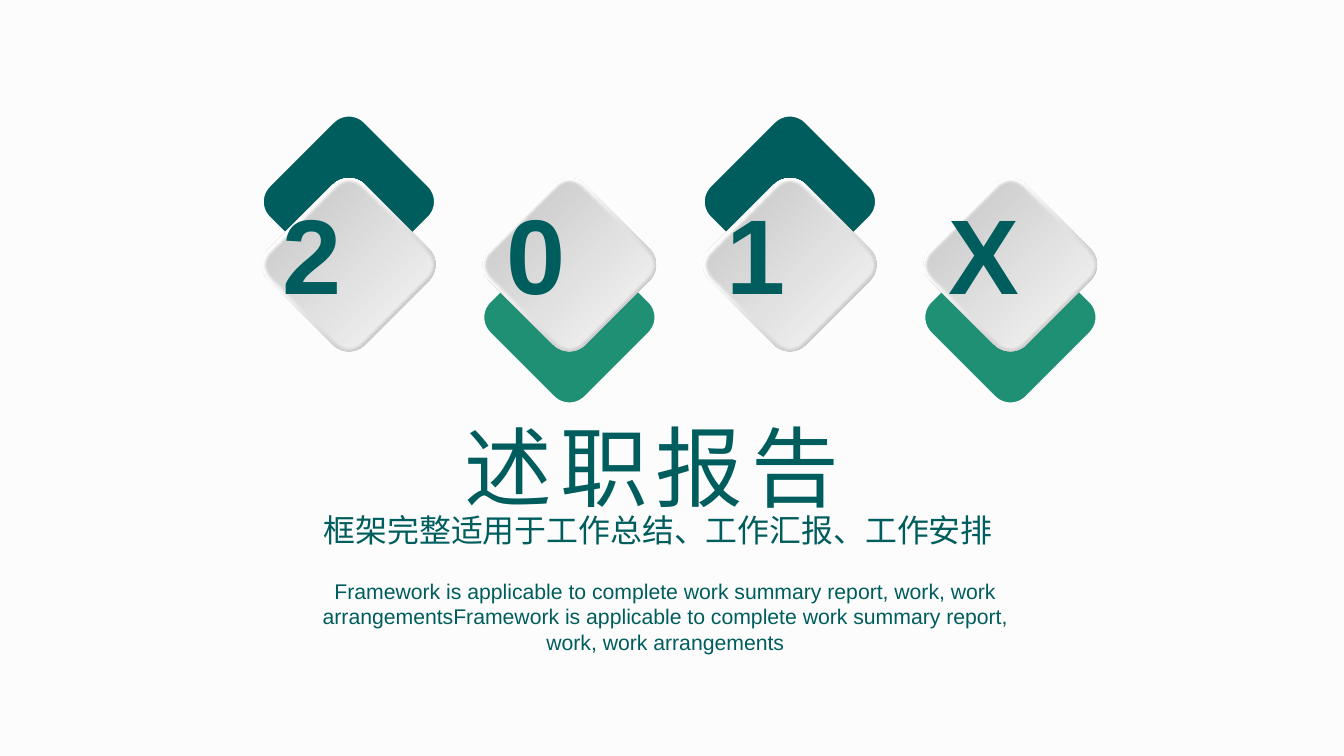
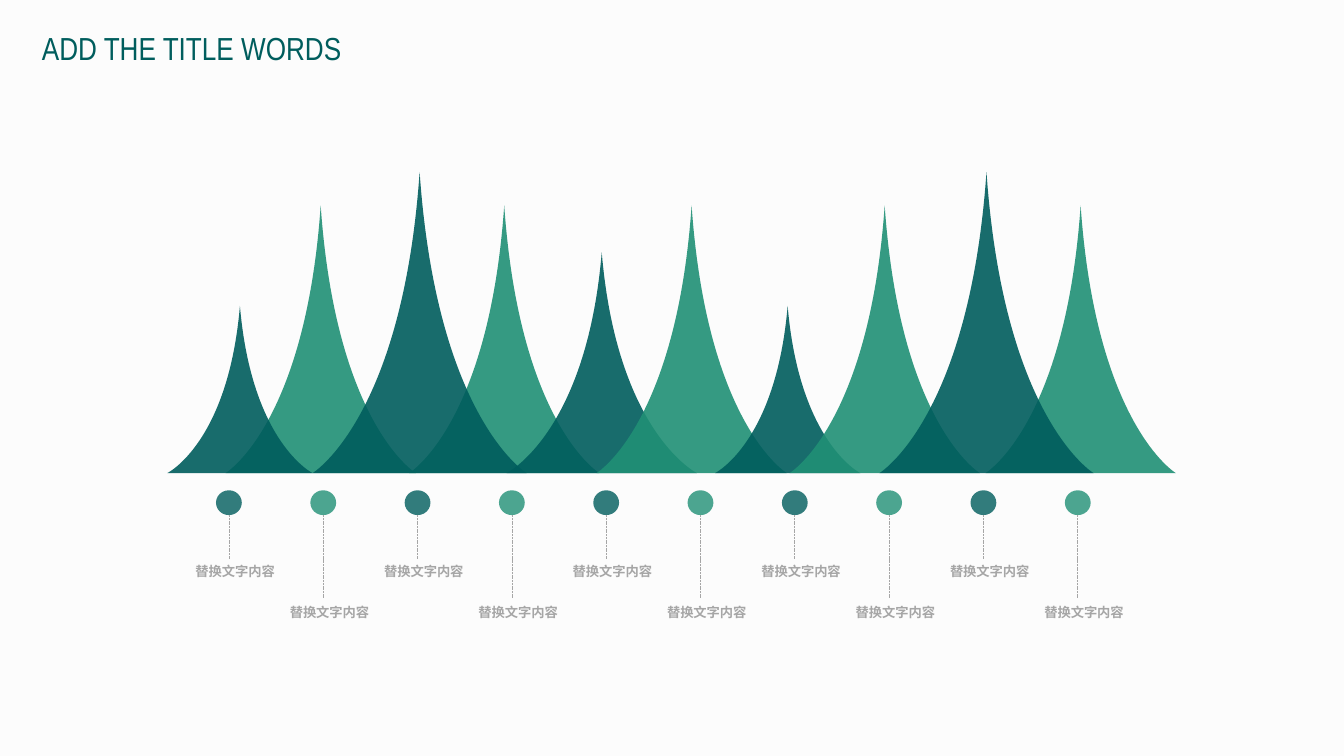
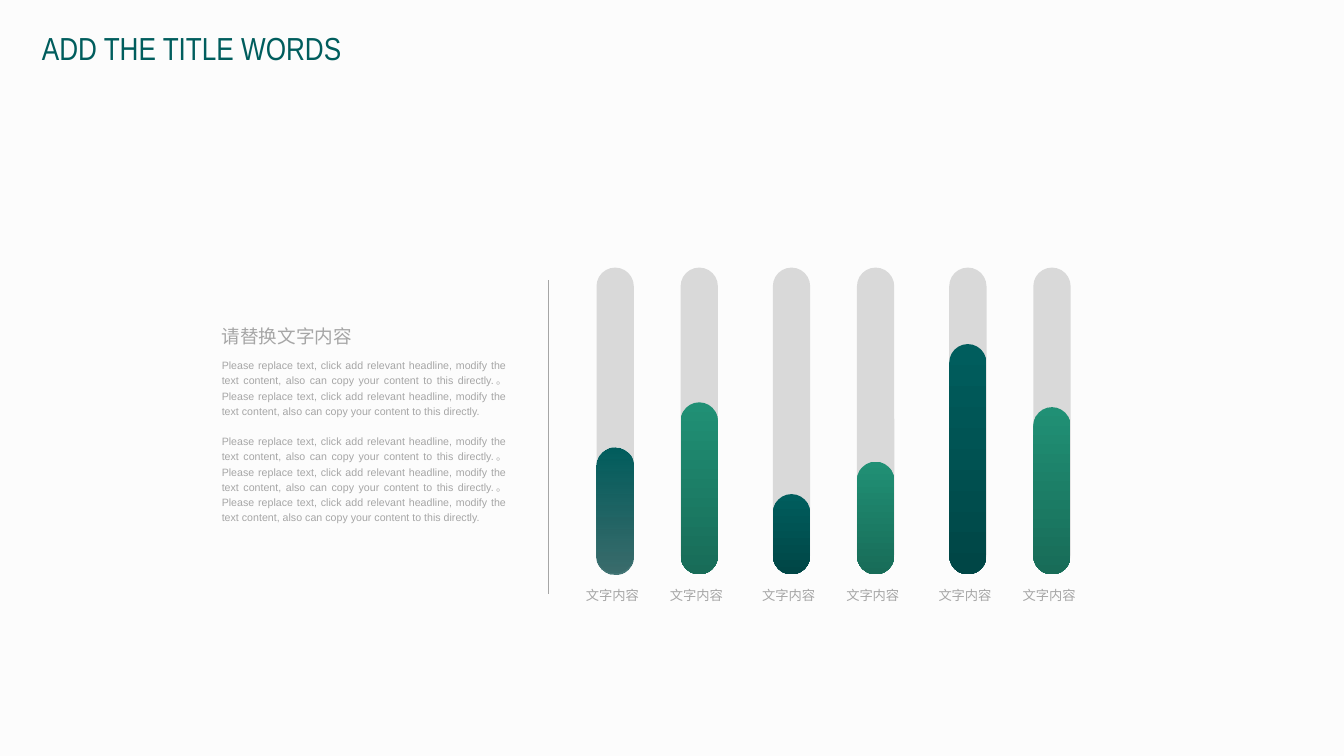
from dataclasses import dataclass
from typing import NamedTuple, Sequence

from pptx import Presentation
from pptx.dml.color import RGBColor
from pptx.enum.dml import MSO_LINE
from pptx.enum.shapes import MSO_CONNECTOR, MSO_SHAPE
from pptx.enum.text import MSO_ANCHOR, MSO_AUTO_SIZE, PP_ALIGN
from pptx.oxml import parse_xml
from pptx.oxml.ns import nsdecls, qn
from pptx.oxml.xmlchemy import OxmlElement
from pptx.shapes.autoshape import Shape
from pptx.slide import Slide
from pptx.util import Inches, Pt

COLORS = {
    "paper": "FCFCFC",
    "teal": "005D5D",
    "teal_deep": "004646",
    "green": "209075",
    "green_deep": "186C58",
    "grey": "A6A6A6",
    "track": "D9D9D9",
    "silver": "BFBFBF",
    "white": "FFFFFF",
}
CJK_FONT = "Noto Sans CJK SC"
LINEAR_DOWN = '<a:lin ang="5400000" scaled="0"/>'
FROM_CORNER = '<a:path path="circle"><a:fillToRect r="100000" b="100000"/></a:path>'


class Box(NamedTuple):
    left: float
    top: float
    width: float
    height: float


class Stop(NamedTuple):
    position: int
    color: str
    opacity: int = 100


@dataclass(frozen=True)
class Style:
    size: float
    color: str
    font: str = "Arial"
    bold: bool = False
    align: PP_ALIGN = PP_ALIGN.CENTER
    line_spacing: float | None = None
    before: float = 0
    after: float = 0
    tracking: float = 0
    inset: bool = False
    wrap: bool = True


@dataclass(frozen=True)
class Tile:
    character: str
    text_left: float
    color: str
    backing_top: float


@dataclass(frozen=True)
class Spire:
    left: float
    width: float
    height: float
    color: str


@dataclass(frozen=True)
class Bar:
    height: float
    color: str
    end_opacity: int = 100


HEADING = Style(24, "teal", "Arial Narrow", align=PP_ALIGN.LEFT, line_spacing=1.5, inset=True)
COVER_TITLE = Style(66, "teal", CJK_FONT, before=13.2, tracking=6, inset=True)
COVER_SUBTITLE = Style(24, "teal", before=4.8, inset=True)
COVER_ENGLISH = Style(16, "teal", before=3.2, inset=True)
YEAR = Style(80, "teal", bold=True)
MARKER_LABEL = Style(10, "grey", bold=True, line_spacing=1.2, wrap=False)
BAR_LABEL = Style(10, "grey", line_spacing=1.2)
NOTE_TITLE = Style(14, "grey", align=PP_ALIGN.JUSTIFY, line_spacing=1.2)
NOTE_BODY = Style(8, "grey", align=PP_ALIGN.JUSTIFY, line_spacing=1.2, after=11.4)

TILE_SIZE = 1.42
TILE_TOP = 2.06
FIRST_TILE, LAST_TILE = 2.94, 9.86
TILES = (
    Tile("2", 2.82, "teal", 1.4),
    Tile("0", 5.16, "green", 2.61),
    Tile("1", 7.46, "teal", 1.4),
    Tile("X", 9.78, "green", 2.61),
)

SPIRE_BASE = 4.95
SPIRES = (
    Spire(2.36, 1.99, 2.8, "green"),
    Spire(4.28, 1.99, 2.8, "green"),
    Spire(1.75, 1.52, 1.75, "teal"),
    Spire(3.27, 2.24, 3.15, "teal"),
    Spire(5.3, 1.99, 2.31, "teal"),
    Spire(6.24, 1.99, 2.8, "green"),
    Spire(7.48, 1.52, 1.75, "teal"),
    Spire(8.26, 1.99, 2.8, "green"),
    Spire(10.31, 1.99, 2.8, "green"),
    Spire(9.2, 2.24, 3.15, "teal"),
)
MARKER_COUNT = 10
FIRST_DOT, LAST_DOT = 2.26, 11.14
DOT_WIDTH, DOT_HEIGHT = 0.27, 0.26

TRACK = Box(6.24, 2.8, 0.39, 3.2)
BAR_BOTTOM = 6.01
BAR_GAP, LAST_PAIR = 0.88, 9.93
BARS = (
    Bar(1.33, "teal", 73),
    Bar(1.8, "green"),
    Bar(0.84, "teal"),
    Bar(1.18, "green"),
    Bar(2.41, "teal"),
    Bar(1.75, "green"),
)

REQUEST = (
    "Please replace text, click add relevant headline, modify the text content, "
    "also can copy your content to this directly."
)
ENGLISH = "Framework is applicable to complete work summary report, work, work arrangements"


def rgb(color: str) -> RGBColor:
    return RGBColor.from_string(COLORS[color])


def add_text(slide: Slide, box: Box, style: Style, *paragraphs: str) -> Shape:
    text_box = slide.shapes.add_textbox(*map(Inches, box))
    frame = text_box.text_frame
    frame.word_wrap = style.wrap
    frame.auto_size = MSO_AUTO_SIZE.SHAPE_TO_FIT_TEXT
    if not style.inset:
        frame.margin_left = frame.margin_right = 0
        frame.margin_top = frame.margin_bottom = 0
    frame.text = "\n".join(paragraphs)
    for paragraph in frame.paragraphs:
        paragraph.alignment = style.align
        paragraph.line_spacing = style.line_spacing
        paragraph.space_before = Pt(style.before)
        paragraph.space_after = Pt(style.after)
        font = paragraph.font
        font.size = Pt(style.size)
        font.bold = style.bold
        font.color.rgb = rgb(style.color)
        font.name = style.font
        properties = paragraph._p.get_or_add_pPr().get_or_add_defRPr()
        if style.tracking:
            properties.set("spc", str(round(style.tracking * 100)))
        east_asian = OxmlElement("a:ea")
        east_asian.set("typeface", CJK_FONT)
        properties.append(east_asian)
    return text_box


def add_alpha(color_element, opacity: int) -> None:
    if opacity < 100:
        alpha = OxmlElement("a:alpha")
        alpha.set("val", str(opacity * 1000))
        color_element.append(alpha)


def paint(shape: Shape, color: str, opacity: int = 100) -> None:
    """Give a shape a flat fill without outline or shadow."""
    shape.shadow.inherit = False
    shape.line.fill.background()
    shape.fill.solid()
    shape.fill.fore_color.rgb = rgb(color)
    add_alpha(shape._element.spPr.find(qn("a:solidFill"))[0], opacity)


def shade(shape: Shape, stops: Sequence[Stop], direction: str) -> None:
    """Replace the flat fill of a shape with a gradient."""
    paint(shape, stops[0].color)
    stop_xml = "".join(
        f'<a:gs pos="{stop.position * 1000}"><a:srgbClr val="{COLORS[stop.color]}"/></a:gs>'
        for stop in stops
    )
    gradient = parse_xml(
        f'<a:gradFill {nsdecls("a")} rotWithShape="1">'
        f"<a:gsLst>{stop_xml}</a:gsLst>{direction}</a:gradFill>"
    )
    for stop, color_element in zip(stops, gradient.iter(qn("a:srgbClr"))):
        add_alpha(color_element, stop.opacity)
    properties = shape._element.spPr
    properties.replace(properties.find(qn("a:solidFill")), gradient)


def add_line(slide: Slide, x: float, top: float, bottom: float, dashed: bool = False) -> None:
    line = slide.shapes.add_connector(
        MSO_CONNECTOR.STRAIGHT, Inches(x), Inches(top), Inches(x), Inches(bottom)
    )
    line.line.color.rgb = rgb("grey")
    line.line.width = Pt(0.5)
    if dashed:
        line.line.dash_style = MSO_LINE.SQUARE_DOT
    line._element.spPr.append(OxmlElement("a:effectLst"))


def add_heading(slide: Slide) -> None:
    add_text(slide, Box(0.34, 0.05, 3.54, 0.63), HEADING, "ADD THE TITLE WORDS")


def add_diamond(slide: Slide, left: float, top: float) -> Shape:
    diamond = slide.shapes.add_shape(
        MSO_SHAPE.ROUNDED_RECTANGLE, *map(Inches, Box(left, top, TILE_SIZE, TILE_SIZE))
    )
    diamond.rotation = 45
    return diamond


def add_tile(slide: Slide, tile: Tile, left: float) -> None:
    backing = add_diamond(slide, left, tile.backing_top)
    paint(backing, tile.color)
    backing.line.color.rgb = rgb("paper")
    backing.line.width = Pt(2.25)
    rim = add_diamond(slide, left, TILE_TOP)
    shade(rim, (Stop(29, "white"), Stop(86, "silver")), FROM_CORNER)
    face = add_diamond(slide, left, TILE_TOP)
    shade(face, (Stop(0, "silver"), Stop(100, "white")), FROM_CORNER)
    soft_edge = OxmlElement("a:softEdge")
    soft_edge.set("rad", str(Pt(2)))
    face._element.spPr.find(qn("a:effectLst")).append(soft_edge)

    character = add_text(slide, Box(tile.text_left, 1.96, 1.64, 1.36), YEAR, tile.character)
    character.rotation = 270
    character.text_frame.vertical_anchor = MSO_ANCHOR.MIDDLE
    character.text_frame._txBody.bodyPr.set("vert", "eaVert")


def build_cover(slide: Slide) -> None:
    add_text(slide, Box(2.7, 4.27, 8.24, 1.21), COVER_TITLE, "述职报告")
    add_text(
        slide, Box(2.91, 5.29, 7.95, 0.5), COVER_SUBTITLE,
        "框架完整适用于工作总结、工作汇报、工作安排",
    )
    add_text(slide, Box(3.14, 6, 7.64, 0.91), COVER_ENGLISH, ENGLISH * 2)
    pitch = (LAST_TILE - FIRST_TILE) / (len(TILES) - 1)
    for index, tile in enumerate(TILES):
        add_tile(slide, tile, FIRST_TILE + index * pitch)


def curve_to(segment, *points: tuple[float, float]) -> None:
    """Turn a straight path segment into a cubic curve through the given points."""
    curve = OxmlElement("a:cubicBezTo")
    for x, y in points:
        point = OxmlElement("a:pt")
        point.set("x", str(Inches(x)))
        point.set("y", str(Inches(y)))
        curve.append(point)
    segment.getparent().replace(segment, curve)


def add_spire(slide: Slide, spire: Spire) -> None:
    width, height = spire.width, spire.height
    middle, shoulder = width / 2, height * 0.82
    right = spire.left + width
    corners = (
        (right, SPIRE_BASE),
        (spire.left + middle, SPIRE_BASE - height),
        (spire.left, SPIRE_BASE),
        (right, SPIRE_BASE),
    )
    points = [(Inches(x), Inches(y)) for x, y in corners]
    builder = slide.shapes.build_freeform(*points[0])
    builder.add_line_segments(points[1:], close=True)
    peak = builder.convert_to_shape()
    right_side, left_side, _ = list(peak._element.iter(qn("a:lnTo")))
    lean = width * 0.08
    curve_to(right_side, (width, height), (middle + lean, shoulder), (middle, 0))
    curve_to(left_side, (middle - lean, shoulder), (0, height), (0, height))
    paint(peak, spire.color, 90)


def add_marker(slide: Slide, index: int) -> None:
    left = FIRST_DOT + index * (LAST_DOT - FIRST_DOT) / (MARKER_COUNT - 1)
    color, line_end, label_top = (("teal", 5.85, 5.86), ("green", 6.26, 6.29))[index % 2]
    dot = slide.shapes.add_shape(
        MSO_SHAPE.OVAL, *map(Inches, Box(left, 5.13, DOT_WIDTH, DOT_HEIGHT))
    )
    paint(dot, color, 80)
    add_line(slide, left + DOT_WIDTH / 2, 5.39, line_end, dashed=True)
    add_text(slide, Box(left - 0.22, label_top, 0.84, 0.2), MARKER_LABEL, "替换文字内容")


def build_spires(slide: Slide) -> None:
    for spire in SPIRES:
        add_spire(slide, spire)
    for index in range(MARKER_COUNT):
        add_marker(slide, index)
    add_heading(slide)


def add_capsule(slide: Slide, box: Box) -> Shape:
    capsule = slide.shapes.add_shape(MSO_SHAPE.ROUNDED_RECTANGLE, *map(Inches, box))
    capsule.adjustments[0] = 0.5
    return capsule


def build_bars(slide: Slide) -> None:
    pair_gap = (LAST_PAIR - TRACK.left) / (len(BARS) // 2 - 1)
    tracks = [
        TRACK._replace(left=TRACK.left + index // 2 * pair_gap + index % 2 * BAR_GAP)
        for index in range(len(BARS))
    ]
    for track in tracks:
        paint(add_capsule(slide, track), "track")
    for track, bar in zip(tracks, BARS):
        level = add_capsule(
            slide, track._replace(top=BAR_BOTTOM - bar.height, height=bar.height)
        )
        stops = (Stop(0, bar.color), Stop(100, f"{bar.color}_deep", bar.end_opacity))
        shade(level, stops, LINEAR_DOWN)
        add_text(slide, Box(track.left - 0.32, 6.11, 0.97, 0.2), BAR_LABEL, "文字内容")
    add_text(
        slide, Box(2.32, 3.73, 2.98, 1.78), NOTE_BODY,
        "。 ".join([REQUEST] * 2), "。 ".join([REQUEST] * 3),
    )
    add_text(slide, Box(2.32, 3.35, 2.06, 0.28), NOTE_TITLE, "请替换文字内容")
    add_line(slide, 5.74, 2.93, 6.21)
    add_heading(slide)


def main() -> None:
    deck = Presentation()
    deck.slide_width, deck.slide_height = Inches(14.06), Inches(7.91)
    backdrop = deck.slide_master.background.fill
    backdrop.solid()
    backdrop.fore_color.rgb = rgb("paper")
    blank = deck.slide_layouts[6]
    for build in (build_cover, build_spires, build_bars):
        build(deck.slides.add_slide(blank))
    deck.save("out.pptx")


if __name__ == "__main__":
    main()
